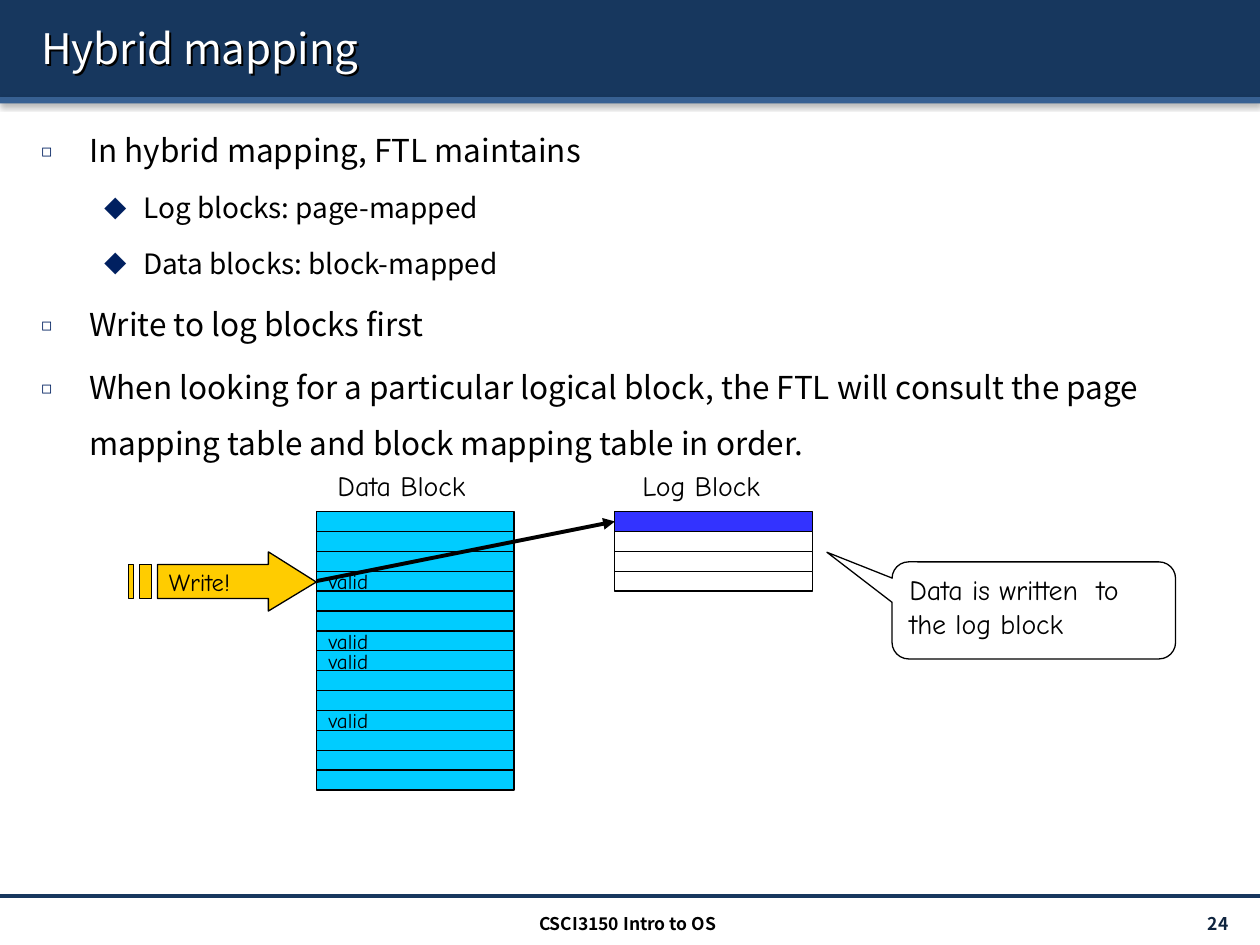
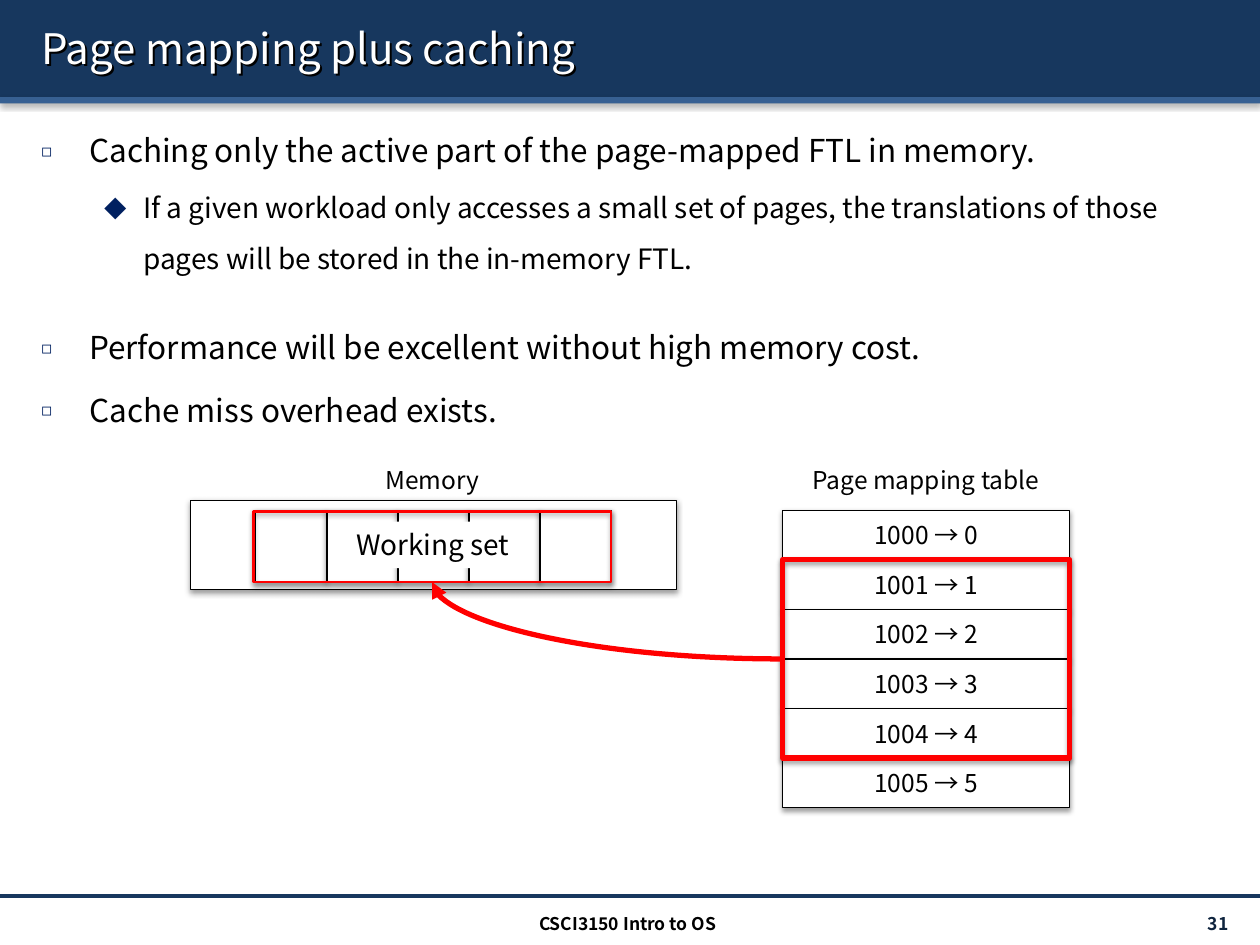
from dataclasses import dataclass
from typing import Optional

import pptx
import pptx.dml.color
import pptx.enum.shapes
import pptx.enum.text
import pptx.oxml.ns
import pptx.util
from lxml import etree

Inches = pptx.util.Inches
Pt = pptx.util.Pt
qn = pptx.oxml.ns.qn
SHAPE = pptx.enum.shapes.MSO_SHAPE
CONNECTOR = pptx.enum.shapes.MSO_CONNECTOR
ALIGN = pptx.enum.text.PP_ALIGN
ANCHOR = pptx.enum.text.MSO_ANCHOR
TOP, LEFT, BOTTOM = 0, 1, 2  # connection sites of a rectangle


@dataclass(frozen=True)
class Theme:
    sans: str = "Noto Sans CJK KR"
    hand: str = "Comic Neue"
    navy: str = "17375E"
    blue: str = "376092"
    bullet: str = "002060"
    number: str = "0F243E"
    black: str = "000000"
    white: str = "FFFFFF"
    red: str = "FF0000"
    cyan: str = "00CCFF"
    violet: str = "3333FF"
    yellow: str = "FFCC00"
    title: float = 24
    body: float = 18
    sub: float = 16
    label: float = 14
    small: float = 12
    footer: float = 10
    hairline: float = 0.75


T = Theme()


@dataclass(frozen=True)
class Box:
    x: float
    y: float
    w: float
    h: float

    def lengths(self) -> list:
        return [Inches(v) for v in (self.x, self.y, self.w, self.h)]


@dataclass(frozen=True)
class Style:
    size: float
    font: str = T.sans
    color: str = T.black
    bold: bool = False
    align: ALIGN = ALIGN.LEFT


@dataclass(frozen=True)
class Level:
    mark: str
    mark_pct: int
    margin: float
    hang: float
    size: float
    before: float


LEVELS = (Level("◻", 55, 0.38, 0.38, T.body, 3.5),
          Level("◆", 80, 0.81, 0.31, T.sub, 3))


@dataclass(frozen=True)
class Bullet:
    text: str
    level: int = 0
    extra_before: float = 0


HAND_SMALL = Style(T.small, T.hand)
HAND_LABEL = Style(T.label, T.hand)
HAND = Style(T.sub, T.hand)
LABEL = Style(T.label)
CENTRED = Style(T.label, align=ALIGN.CENTER)


def rgb(color: str) -> pptx.dml.color.RGBColor:
    return pptx.dml.color.RGBColor.from_string(color)


def add_child(parent, tag: str, **attrs):
    return etree.SubElement(parent, qn(tag), {k: str(v) for k, v in attrs.items()})


def set_shadow(sp, blur: float, dist: float, angle: int, opacity: int) -> None:
    sp.shadow.inherit = False
    effects = sp._element.spPr.find(qn("a:effectLst"))
    shadow = add_child(effects, "a:outerShdw", blurRad=Pt(blur), dist=Pt(dist),
                       dir=angle * 60000, algn="t", rotWithShape=0)
    color = add_child(shadow, "a:srgbClr", val=T.black)
    add_child(color, "a:alpha", val=opacity * 1000)


def set_font(p, style: Style) -> None:
    p.alignment = style.align
    f = p.font
    f.size, f.name, f.bold = Pt(style.size), style.font, style.bold
    f.color.rgb = rgb(style.color)
    f._element.find(qn("a:latin")).addnext(
        etree.Element(qn("a:ea"), typeface=style.font))


def write(sp, lines: list, style: Style, anchor: ANCHOR = ANCHOR.TOP,
          wrap: bool = True) -> None:
    tf = sp.text_frame
    tf.word_wrap, tf.vertical_anchor = wrap, anchor
    for i, line in enumerate(lines):
        p = tf.add_paragraph() if i else tf.paragraphs[0]
        p.add_run().text = line
        set_font(p, style)


def add_text(s, box: Box, text: str, style: Style, anchor: ANCHOR = ANCHOR.TOP,
             wrap: bool = True):
    sp = s.shapes.add_textbox(*box.lengths())
    write(sp, [text], style, anchor, wrap)
    if not wrap:
        sp.text_frame.auto_size = pptx.enum.text.MSO_AUTO_SIZE.SHAPE_TO_FIT_TEXT
    return sp


def paint(sp, fill: Optional[str], line: Optional[str] = T.black,
          width: float = T.hairline, shadow: bool = False) -> None:
    sp.shadow.inherit = False
    if fill:
        sp.fill.solid()
        sp.fill.fore_color.rgb = rgb(fill)
    else:
        sp.fill.background()
    if line:
        sp.line.color.rgb = rgb(line)
        sp.line.width = Pt(width)
    else:
        sp.line.fill.background()
    if shadow:
        set_shadow(sp, 3.1, 1.6, 90, 38)


def add_box(s, box: Box, fill: Optional[str], shape: SHAPE = SHAPE.RECTANGLE, **look):
    sp = s.shapes.add_shape(shape, *box.lengths())
    paint(sp, fill, **look)
    return sp


def add_line(s, kind: CONNECTOR, start: tuple, end: tuple, color: str, width: float,
             arrow: bool = False):
    cx = s.shapes.add_connector(kind, *[Inches(v) for v in start + end])
    cx.line.color.rgb = rgb(color)
    cx.line.width = Pt(width)
    if arrow:
        add_child(cx.line._get_or_add_ln(), "a:tailEnd", type="triangle")
    add_child(cx._element.spPr, "a:effectLst")
    return cx


def add_bullets(s, bullets: list) -> None:
    tf = s.shapes.add_textbox(*Box(0.23, 0.84, 9.61, 6.02).lengths()).text_frame
    tf.word_wrap = True
    for i, item in enumerate(bullets):
        level = LEVELS[item.level]
        p = tf.add_paragraph() if i else tf.paragraphs[0]
        p.add_run().text = item.text
        p.level = item.level
        pPr = p._p.get_or_add_pPr()
        pPr.set("marL", str(Inches(level.margin)))
        pPr.set("indent", str(-Inches(level.hang)))
        add_child(add_child(pPr, "a:buClr"), "a:srgbClr", val=T.bullet)
        add_child(pPr, "a:buSzPct", val=level.mark_pct * 1000)
        add_child(pPr, "a:buFont", typeface=T.sans)
        add_child(pPr, "a:buChar", char=level.mark)
        set_font(p, Style(level.size))
        p.line_spacing = 1.5
        if i:
            p.space_before = Pt(level.before + item.extra_before)


def add_page(prs, title: str, number: int, bullets: list):
    """Add a slide with its bands, title, bullets and footer."""
    s = prs.slides.add_slide(prs.slide_layouts[6])
    add_box(s, Box(0, 0, 10, 0.77), T.navy, line=None, shadow=True)
    add_box(s, Box(0, 0.77, 10, 0.05), T.blue, line=None, shadow=True)
    add_line(s, CONNECTOR.STRAIGHT, (0, 7.11), (10, 7.11), T.navy, 2)
    heading = add_text(s, Box(0.23, 0.06, 9.61, 0.64), title,
                       Style(T.title, color=T.white), ANCHOR.MIDDLE)
    set_shadow(heading, 0, 1.6, 45, 100)
    add_bullets(s, bullets)
    add_text(s, Box(8.71, 7.21, 1.17, 0.24), f"{number} ",
             Style(T.footer, color=T.number, bold=True, align=ALIGN.RIGHT), ANCHOR.MIDDLE)
    add_text(s, Box(3.32, 7.2, 3.32, 0.24), "CSCI3150 Intro to OS",
             Style(T.footer, bold=True, align=ALIGN.CENTER))
    return s


def add_block(s, x: float, fills: list) -> list:
    """Stack one page per fill colour."""
    height = 2.21 / 14
    return [add_box(s, Box(x, 4.06 + i * height, 1.57, height), fill)
            for i, fill in enumerate(fills)]


def add_write_arrow(s) -> None:
    """Draw the striped arrow; its points are in hundredths of an inch."""
    top, bottom = 448, 475
    head = [(213, 438), (213, top), (125, top), (125, bottom),
            (213, bottom), (213, 485), (251, 462)]
    stripes = [[(a, top), (a, bottom), (b, bottom), (b, top)]
               for a, b in ((111, 120), (102, 106))]
    fb = s.shapes.build_freeform(*head[0], scale=Inches(0.01))
    fb.add_line_segments(head[1:], close=True)
    for stripe in stripes:
        fb.move_to(*stripe[0])
        fb.add_line_segments(stripe[1:], close=True)
    sp = fb.convert_to_shape()
    paint(sp, T.yellow)
    write(sp, ["Write!"], HAND_LABEL, ANCHOR.MIDDLE, wrap=False)
    sp.text_frame.margin_left = Inches(0.32)


def hybrid_mapping(prs) -> None:
    s = add_page(prs, "Hybrid mapping", 24, [
        Bullet("In hybrid mapping, FTL maintains"),
        Bullet("Log blocks: page-mapped", 1),
        Bullet("Data blocks: block-mapped", 1),
        Bullet("Write to log blocks first"),
        Bullet("When looking for a particular logical block, the FTL will consult "
               "the page mapping table and block mapping table in order.")])
    data_pages = add_block(s, 2.51, [T.cyan] * 14)
    for i in (3, 6, 7, 10):
        write(data_pages[i], ["valid"], HAND_SMALL, ANCHOR.MIDDLE, wrap=False)
    log_pages = add_block(s, 4.88, [T.violet] + [T.white] * 3)
    add_write_arrow(s)
    callout = add_box(s, Box(7.08, 4.46, 2.25, 0.77), T.white,
                      SHAPE.ROUNDED_RECTANGULAR_CALLOUT)
    for i, value in enumerate((-0.73, -0.6, 0.17)):
        callout.adjustments[i] = value
    write(callout, ["Data is written  to", "the log block"], HAND)
    cx = add_line(s, CONNECTOR.STRAIGHT, (2.51, 4.61), (4.88, 4.13), T.black, 2.25, True)
    cx.begin_connect(data_pages[3], LEFT)
    cx.end_connect(log_pages[0], LEFT)
    add_text(s, Box(2.58, 3.67, 1.32, 0.37), "Data Block", HAND, wrap=False)
    add_text(s, Box(5, 3.67, 1.19, 0.37), "Log Block", HAND, wrap=False)


def page_mapping_plus_caching(prs) -> None:
    s = add_page(prs, "Page mapping plus caching", 31, [
        Bullet("Caching only the active part of the page-mapped FTL in memory."),
        Bullet("If a given workload only accesses a small set of pages, the translations "
               "of those pages will be stored in the in-memory FTL.", 1),
        Bullet("Performance will be excellent without high memory cost.", extra_before=16),
        Bullet("Cache miss overhead exists.")])
    add_box(s, Box(1.51, 3.97, 3.86, 0.71), T.white, shadow=True)
    table_x, table_y, row_w, row_h = 6.21, 4.05, 2.28, 2.36 / 6
    for i in range(6):
        row = add_box(s, Box(table_x, table_y + i * row_h, row_w, row_h), T.white,
                      shadow=True)
        write(row, [f"{1000 + i} → {i}"], CENTRED, ANCHOR.MIDDLE, wrap=False)
    add_text(s, Box(6.35, 3.64, 2.1, 0.34), "Page mapping table", LABEL, wrap=False)
    add_text(s, Box(2.96, 3.64, 0.95, 0.34), "Memory", LABEL, wrap=False)
    active_rows = add_box(s, Box(table_x, table_y + row_h, row_w, 4 * row_h), None,
                          line=T.red, width=3, shadow=True)
    cell = 2.82 / 5
    for i in range(5):
        add_box(s, Box(2.03 + i * cell, 4.05, cell, cell), T.white, shadow=True)
    name = add_box(s, Box(2.73, 4.14, 1.43, 0.37), T.white, line=None)
    write(name, ["Working set"], Style(T.sub), wrap=False)
    working_set = add_box(s, Box(2.01, 4.06, 2.84, 0.56), None, line=T.red, width=1.5,
                          shadow=True)
    cx = add_line(s, CONNECTOR.CURVE, (6.21, 5.23), (3.43, 4.63), T.red, 3, True)
    cx._element.spPr.find(qn("a:prstGeom")).set("prst", "curvedConnector2")
    cx.begin_connect(active_rows, LEFT)
    cx.end_connect(working_set, BOTTOM)


def main() -> None:
    prs = pptx.Presentation()
    prs.slide_width, prs.slide_height = Inches(10), Inches(7.5)
    hybrid_mapping(prs)
    page_mapping_plus_caching(prs)
    prs.save("out.pptx")


if __name__ == "__main__":
    main()
